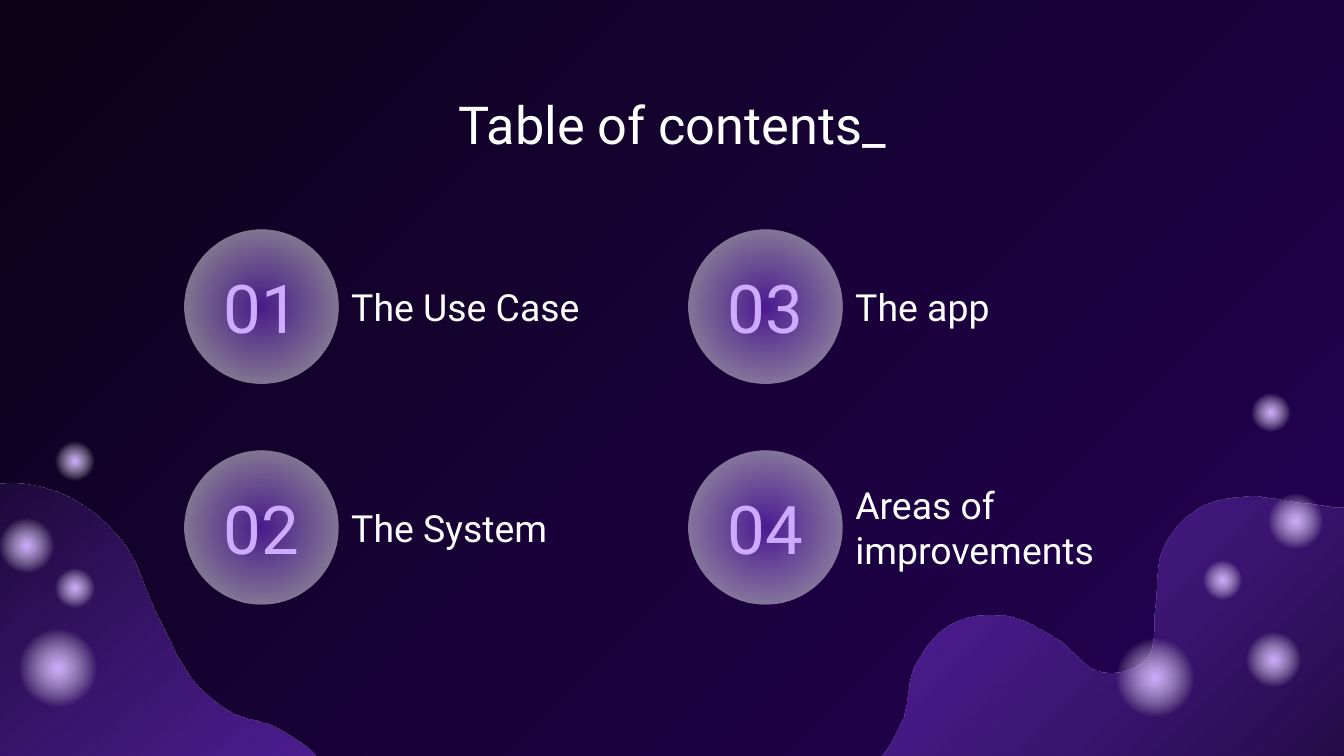
from math import dist
from typing import NamedTuple

from lxml import etree
from pptx import Presentation
from pptx.dml.color import RGBColor
from pptx.enum.shapes import MSO_SHAPE
from pptx.enum.text import MSO_ANCHOR, PP_ALIGN
from pptx.oxml import parse_xml
from pptx.oxml.ns import nsdecls, qn
from pptx.util import Pt

OVAL = MSO_SHAPE.OVAL
TOP, MIDDLE = MSO_ANCHOR.TOP, MSO_ANCHOR.MIDDLE
LEFT, CENTER = PP_ALIGN.LEFT, PP_ALIGN.CENTER

FONT = "Roboto"
WHITE, LILAC, VIOLET, NIGHT, INDIGO = "FFFFFF", "CEABFF", "8134EC", "0B0218", "240155"
CURVE_STEPS = 10

Point = tuple[float, float]


class Stop(NamedTuple):
    position: int
    color: str
    opacity: int = 100


class Wave(NamedTuple):
    crest: list[Point]  # joined by a smooth curve
    corners: list[Point]  # joined by straight lines
    angle: float


class Glow(NamedTuple):
    left: float
    top: float
    size: float


class Topic(NamedTuple):
    number: str
    label: str
    label_width: float = 169


BACKDROP_STOPS = [Stop(0, NIGHT), Stop(100, INDIGO)]
WAVE_STOPS = [Stop(0, NIGHT), Stop(100, VIOLET, 70)]
GLOW_STOPS = [Stop(0, LILAC), Stop(57, WHITE, 0), Stop(100, WHITE, 0)]
BADGE_STOPS = [Stop(0, VIOLET, 49), Stop(77, WHITE, 49), Stop(100, WHITE, 49)]

WAVES = [
    Wave([(773, 234), (750, 261), (727, 271), (693, 269), (669, 266), (641, 273),
          (623, 294), (619, 324), (613, 354), (590, 360), (567, 343), (539, 330),
          (510, 334), (490, 357), (483, 387), (464, 412), (433, 418), (329, 508)],
         [(780, 508)], angle=225),
    Wave([(72, 580), (109, 568), (139, 510), (179, 454), (172, 409), (148, 390),
          (122, 381), (107, 369), (84, 330), (65, 290), (31, 264), (0, 259.5),
          (-53, 300), (-18, 387), (-116, 471), (-52, 502), (6, 521), (72, 580)],
         [], angle=50),
]

SMALL, MEDIUM, LARGE = 26, 36.5, 52
GLOWS = [
    Glow(5, 332, LARGE), Glow(-4, 274, MEDIUM), Glow(27, 234, SMALL), Glow(27, 302, SMALL),
    Glow(593, 337, LARGE), Glow(664, 335, MEDIUM), Glow(668, 208, SMALL),
    Glow(642, 298, SMALL), Glow(676, 261, MEDIUM),
]

# Fills the grid column by column
TOPICS = [
    Topic("01", "The Use Case"),
    Topic("02", "The System"),
    Topic("03", "The app"),
    Topic("04", "Areas of improvements", label_width=187),
]
GRID_LEFT, GRID_TOP, COLUMN_STEP, ROW_STEP, ROWS = 98.7, 123, 270, 118.3, 2
BADGE, TEXT_HEIGHT = 82.4, 52


def rgb(color: str) -> RGBColor:
    return RGBColor.from_string(color)


def set_gradient(fill, holder, stops: list[Stop], angle: float | None = None) -> None:
    """Linear gradient at an angle, or a circular one from the centre without it."""
    fill.solid()
    gradient = parse_xml(f'<a:gradFill {nsdecls("a")} rotWithShape="1"><a:gsLst/></a:gradFill>')
    for stop in stops:
        mark = etree.SubElement(gradient[0], qn("a:gs"), pos=str(stop.position * 1000))
        tint = etree.SubElement(mark, qn("a:srgbClr"), val=str(rgb(stop.color)))
        if stop.opacity < 100:
            etree.SubElement(tint, qn("a:alpha"), val=str(stop.opacity * 1000))
    if angle is None:
        center = etree.SubElement(gradient, qn("a:path"), {"path": "circle"})
        etree.SubElement(center, qn("a:fillToRect"), dict.fromkeys("ltrb", "50000"))
    else:
        etree.SubElement(gradient, qn("a:lin"), ang=str(int(angle * 60000)), scaled="0")
    holder.replace(holder.find(qn("a:solidFill")), gradient)


def style_shape(shape, stops: list[Stop], angle: float | None = None) -> None:
    shape.shadow.inherit = False
    shape.line.fill.background()
    set_gradient(shape.fill, shape.element.spPr, stops, angle)


def direction(before: Point, here: Point, after: Point) -> Point:
    """Unit tangent, in which the nearer neighbour weighs more."""
    near, far = dist(before, here) ** 2 or 1, dist(here, after) ** 2 or 1
    dx, dy = ((h - b) / near + (a - h) / far for b, h, a in zip(before, here, after))
    length = dist((0, 0), (dx, dy))
    return dx / length, dy / length


def smooth(anchors: list[Point]) -> list[Point]:
    """Points on a smooth curve through the anchors."""
    padded = [anchors[0], *anchors, anchors[-1]]
    tangents = [direction(*trio) for trio in zip(padded, padded[1:], padded[2:])]
    points = [anchors[0]]
    for start, end, leave, arrive in zip(anchors, anchors[1:], tangents, tangents[1:]):
        reach = dist(start, end)
        for step in range(1, CURVE_STEPS + 1):
            t = step / CURVE_STEPS
            blend = t * t * (3 - 2 * t)
            out, back = reach * t * (1 - t) ** 2, reach * t * t * (1 - t)
            points.append(tuple(s + (e - s) * blend + l * out - a * back
                                for s, e, l, a in zip(start, end, leave, arrive)))
    return points


def draw_wave(slide, wave: Wave) -> None:
    first, *rest = [(Pt(x), Pt(y)) for x, y in smooth(wave.crest) + wave.corners]
    outline = slide.shapes.build_freeform(*first)
    outline.add_line_segments(rest)
    style_shape(outline.convert_to_shape(), WAVE_STOPS, wave.angle)


def draw_circle(slide, left: float, top: float, size: float, stops: list[Stop]) -> None:
    style_shape(slide.shapes.add_shape(OVAL, Pt(left), Pt(top), Pt(size), Pt(size)), stops)


def add_text(slide, text: str, *, left: float, top: float, width: float, height: float,
             size: float, color: str = WHITE, align=LEFT, anchor=MIDDLE) -> None:
    frame = slide.shapes.add_textbox(Pt(left), Pt(top), Pt(width), Pt(height)).text_frame
    frame.word_wrap = True
    frame.vertical_anchor = anchor
    frame.margin_left = frame.margin_right = frame.margin_top = frame.margin_bottom = Pt(7.2)
    paragraph = frame.paragraphs[0]
    paragraph.alignment = align
    run = paragraph.add_run()
    run.text = text
    run.font.name, run.font.size = FONT, Pt(size)
    run.font.color.rgb = rgb(color)


def draw_topic(slide, topic: Topic, column: int, row: int) -> None:
    left = GRID_LEFT + column * COLUMN_STEP
    top = GRID_TOP + row * ROW_STEP
    text_top = top + (BADGE - TEXT_HEIGHT) / 2
    draw_circle(slide, left, top, BADGE, BADGE_STOPS)
    add_text(slide, topic.number, left=left, top=text_top, width=BADGE, height=TEXT_HEIGHT,
             size=36, color=LILAC, align=CENTER)
    add_text(slide, topic.label, left=left + BADGE, top=text_top,
             width=topic.label_width, height=TEXT_HEIGHT, size=20)


def main() -> None:
    deck = Presentation()
    deck.slide_width, deck.slide_height = Pt(720), Pt(405)
    slide = deck.slides.add_slide(deck.slide_layouts[6])

    # Backdrop with waves and glowing dots
    backdrop = slide.background.fill
    backdrop.solid()
    set_gradient(backdrop, slide.element.find(".//" + qn("p:bgPr")), BACKDROP_STOPS, 45)
    for wave in WAVES:
        draw_wave(slide, wave)
    for glow in GLOWS:
        draw_circle(slide, *glow, GLOW_STOPS)

    # Heading and numbered topics
    add_text(slide, "Table of contents_", left=56.5, top=42.5, width=607, height=45,
             size=28, align=CENTER, anchor=TOP)
    for index, topic in enumerate(TOPICS):
        draw_topic(slide, topic, *divmod(index, ROWS))

    deck.save("out.pptx")


if __name__ == "__main__":
    main()
